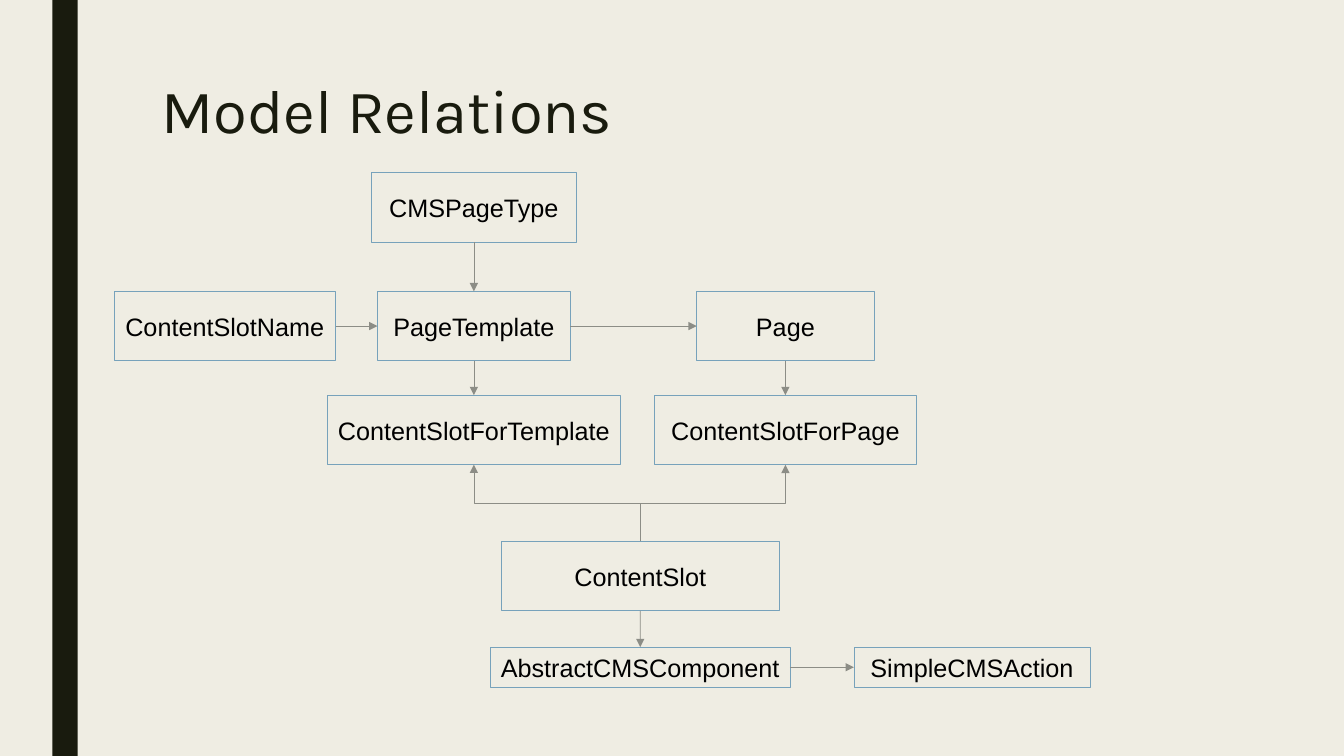
from dataclasses import dataclass

from lxml import etree
from pptx import Presentation
from pptx.dml.color import RGBColor
from pptx.enum.shapes import MSO_CONNECTOR, MSO_SHAPE
from pptx.enum.text import MSO_ANCHOR, MSO_AUTO_SIZE, PP_ALIGN
from pptx.oxml.ns import qn
from pptx.util import Inches, Pt

RECTANGLE = MSO_SHAPE.RECTANGLE
STRAIGHT, ELBOW = MSO_CONNECTOR.STRAIGHT, MSO_CONNECTOR.ELBOW
TOP_ANCHOR, MIDDLE_ANCHOR = MSO_ANCHOR.TOP, MSO_ANCHOR.MIDDLE
LEFT_ALIGN, CENTER_ALIGN = PP_ALIGN.LEFT, PP_ALIGN.CENTER
NO_AUTOFIT = MSO_AUTO_SIZE.NONE
TOP, LEFT, BOTTOM, RIGHT = range(4)
TITLE_ONLY = 5


@dataclass(frozen=True)
class Theme:
    background: RGBColor = RGBColor.from_string("EFEDE3")
    dark: RGBColor = RGBColor.from_string("191B0E")
    outline: RGBColor = RGBColor.from_string("77A2BB")
    arrow: RGBColor = RGBColor.from_string("8C8D86")
    text: RGBColor = RGBColor.from_string("000000")
    title_font: str = "Karla"
    body_font: str = "Arial"
    title_size: Pt = Pt(44)
    body_size: Pt = Pt(18)
    line_width: Pt = Pt(0.5)


def set_attributes(target, values):
    for name, value in values.items():
        setattr(target, name, value)


class SlideBuilder:
    def __init__(self, presentation, theme):
        self.theme = theme
        self.slide = presentation.slides.add_slide(presentation.slide_layouts[TITLE_ONLY])
        fill = self.slide.background.fill
        fill.solid()
        fill.fore_color.rgb = theme.background

    def label(self, shape, text, frame_format, paragraph_format, font_format, color):
        frame = shape.text_frame
        frame.text = text
        set_attributes(frame, frame_format)
        paragraph = frame.paragraphs[0]
        set_attributes(paragraph, paragraph_format)
        font = paragraph.runs[0].font
        set_attributes(font, font_format)
        font.color.rgb = color

    def title(self, text, left, top, width, height):
        shape = self.slide.shapes.title
        set_attributes(shape, {
            "left": Inches(left), "top": Inches(top),
            "width": Inches(width), "height": Inches(height),
        })
        self.label(
            shape, text,
            {"vertical_anchor": TOP_ANCHOR, "word_wrap": True, "auto_size": NO_AUTOFIT},
            {"alignment": LEFT_ALIGN, "line_spacing": 0.89},
            {"name": self.theme.title_font, "size": self.theme.title_size},
            self.theme.dark,
        )

    def rectangle(self, left, top, width, height):
        shape = self.slide.shapes.add_shape(
            RECTANGLE, Inches(left), Inches(top), Inches(width), Inches(height))
        shape.shadow.inherit = False
        return shape

    def bar(self, left, top, width, height):
        shape = self.rectangle(left, top, width, height)
        shape.fill.solid()
        shape.fill.fore_color.rgb = self.theme.dark
        shape.line.fill.background()

    def box(self, text, center, top, width, height):
        shape = self.rectangle(center - width / 2, top, width, height)
        shape.fill.background()
        shape.line.color.rgb = self.theme.outline
        shape.line.width = self.theme.line_width
        self.label(
            shape, text,
            {"vertical_anchor": MIDDLE_ANCHOR, "word_wrap": False},
            {"alignment": CENTER_ALIGN},
            {"name": self.theme.body_font, "size": self.theme.body_size},
            self.theme.text,
        )
        return shape

    def connector(self, kind, source, source_side, target, target_side):
        connector = self.slide.shapes.add_connector(kind, 0, 0, 0, 0)
        connector.begin_connect(source, source_side)
        connector.end_connect(target, target_side)
        connector.line.color.rgb = self.theme.arrow
        connector.line.width = self.theme.line_width
        properties = connector._element.spPr
        etree.SubElement(properties.find(qn("a:ln")), qn("a:tailEnd"), type="triangle")
        etree.SubElement(properties, qn("a:effectLst"))
        return connector

    def arrow(self, source, source_side, target, target_side):
        self.connector(STRAIGHT, source, source_side, target, target_side)

    def upward_branch(self, source, target):
        connector = self.connector(ELBOW, source, TOP, target, BOTTOM)
        start_x, end_x = connector.begin_x, connector.end_x
        start_y, end_y = connector.begin_y, connector.end_y
        length, spread = start_y - end_y, abs(end_x - start_x)
        set_attributes(connector, {
            "left": (start_x + end_x - length) // 2,
            "top": (start_y + end_y - spread) // 2,
            "width": length, "height": spread,
        })
        set_attributes(connector._element.spPr.find(qn("a:xfrm")), {
            "rot": 270, "flipH": False, "flipV": end_x < start_x,
        })


def main():
    presentation = Presentation()
    set_attributes(presentation, {"slide_width": Inches(13.33), "slide_height": Inches(7.5)})
    builder = SlideBuilder(presentation, Theme())
    builder.bar(0.52, 0, 0.25, 7.5)
    builder.title("Model Relations", 1.5, 0.75, 10.5, 0.96)

    template_column, slot_column, page_column = 4.7, 6.35, 7.79
    model_row, relation_row, component_row = 2.89, 3.92, 6.42
    tall, short = 0.69, 0.4
    models = [
        ("PageTemplate", template_column, model_row, 1.91, tall),
        ("CMSPageType", template_column, 1.71, 2.04, tall),
        ("ContentSlotName", 2.23, model_row, 2.2, tall),
        ("ContentSlotForTemplate", template_column, relation_row, 2.91, tall),
        ("ContentSlot", slot_column, 5.37, 2.75, tall),
        ("Page", page_column, model_row, 1.76, tall),
        ("ContentSlotForPage", page_column, relation_row, 2.59, tall),
        ("AbstractCMSComponent", slot_column, component_row, 2.97, short),
        ("SimpleCMSAction", 9.64, component_row, 2.34, short),
    ]
    boxes = {model[0]: builder.box(*model) for model in models}

    downward = [
        ("CMSPageType", "PageTemplate"),
        ("PageTemplate", "ContentSlotForTemplate"),
        ("Page", "ContentSlotForPage"),
        ("ContentSlot", "AbstractCMSComponent"),
    ]
    rightward = [
        ("ContentSlotName", "PageTemplate"),
        ("PageTemplate", "Page"),
        ("AbstractCMSComponent", "SimpleCMSAction"),
    ]
    for source, target in downward:
        builder.arrow(boxes[source], BOTTOM, boxes[target], TOP)
    for source, target in rightward:
        builder.arrow(boxes[source], RIGHT, boxes[target], LEFT)
    for target in ("ContentSlotForTemplate", "ContentSlotForPage"):
        builder.upward_branch(boxes["ContentSlot"], boxes[target])

    presentation.save("out.pptx")


if __name__ == "__main__":
    main()
